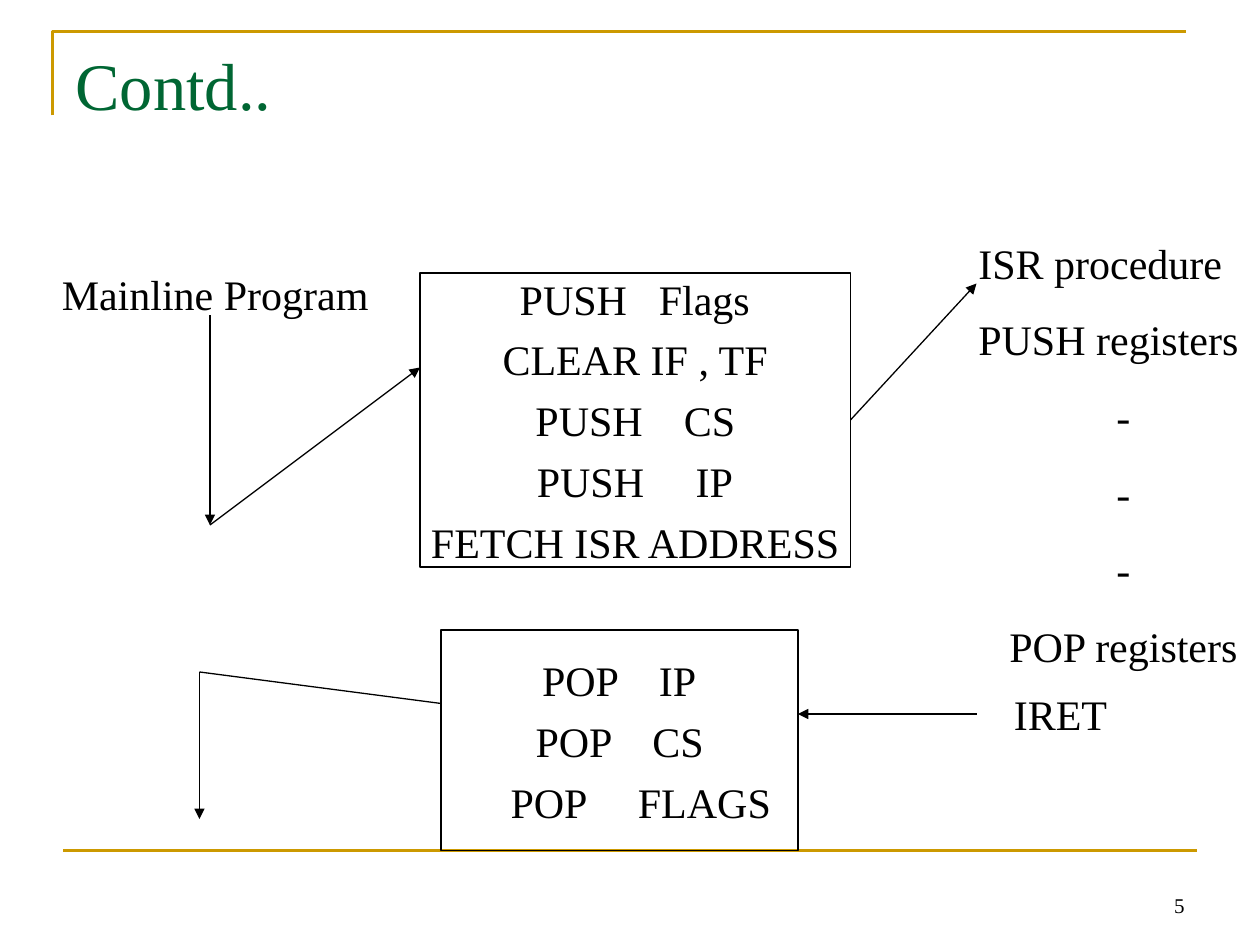
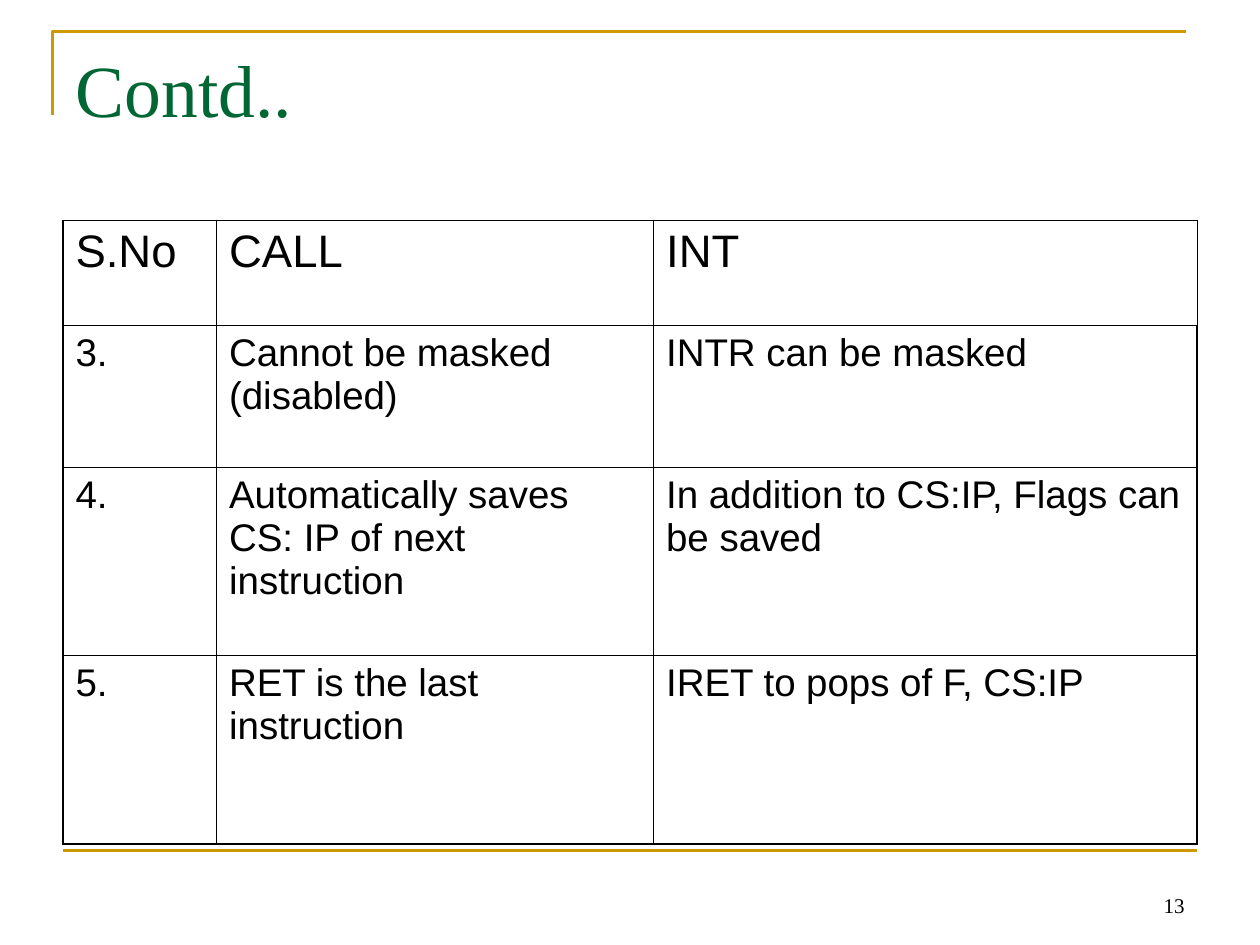
from lxml import etree
from pptx import Presentation
from pptx import util as u
from pptx.dml.color import RGBColor
from pptx.enum import shapes, text
from pptx.oxml import ns

PX = 9525
BLACK, GOLD, GREEN = "000000", "CC9900", "006633"
SERIF, SANS = "Times New Roman", "Arial"
LEFT, CENTER, RIGHT = text.PP_ALIGN.LEFT, text.PP_ALIGN.CENTER, text.PP_ALIGN.RIGHT


def px(*lengths):
    return [u.Emu(n * PX) for n in lengths]


def rgb(value):
    return RGBColor.from_string(value)


def sub(parent, tag, **attrs):
    return etree.SubElement(parent, ns.qn(tag), {k: str(v) for k, v in attrs.items()})


def write(p, words, size=24, font=SERIF, color=BLACK, align=LEFT, before=0, tabs=()):
    p.alignment = align
    p.space_before = u.Pt(before)
    if tabs:
        stops = sub(p._p.get_or_add_pPr(), "a:tabLst")
        for stop in tabs:
            sub(stops, "a:tab", pos=stop * PX, algn="l")
    r = p.add_run()
    r.text = words
    r.font.size, r.font.name = u.Pt(size), font
    r.font.color.rgb = rgb(color)


def write_lines(tf, lines, before):
    for i, (words, fmt) in enumerate(lines):
        p = tf.add_paragraph() if i else tf.paragraphs[0]
        write(p, words, before=before if i else 0, **fmt)


def label(s, box, lines, before=15, anchor=text.MSO_ANCHOR.TOP):
    tf = s.shapes.add_textbox(*px(*box)).text_frame
    tf.word_wrap = True
    tf.vertical_anchor = anchor
    write_lines(tf, lines, before)


def line(s, start, end, color=BLACK, width=0.75, arrow=True):
    cx = s.shapes.add_connector(shapes.MSO_CONNECTOR.STRAIGHT, *px(*start, *end))
    cx.line.color.rgb, cx.line.width = rgb(color), u.Pt(width)
    if arrow:
        sub(cx.line._get_or_add_ln(), "a:tailEnd", type="triangle")
    sub(cx._element.spPr, "a:effectLst")
    return cx


def step_box(s, box, lines):
    sp = s.shapes.add_shape(shapes.MSO_SHAPE.RECTANGLE, *px(*box))
    sp.shadow.inherit = False
    sp.fill.background()
    sp.line.color.rgb, sp.line.width = rgb(BLACK), u.Pt(0.75)
    tf = sp.text_frame
    tf.word_wrap = True
    tf.margin_left = tf.margin_right = 0
    tf.vertical_anchor = text.MSO_ANCHOR.MIDDLE
    write_lines(tf, lines, 6)
    return sp


def columns(first, second, *tabs):
    return f"\t{first}\t{second}", {"tabs": tabs}


def base_slide(prs, number, title_size, title_height):
    s = prs.slides.add_slide(prs.slide_layouts[5])
    corner = s.shapes.build_freeform(40, 88, scale=PX)
    corner.add_line_segments([(40, 24), (904, 24)], close=False)
    sp = corner.convert_to_shape()
    sp.shadow.inherit = False
    sp.fill.background()
    sp.line.color.rgb, sp.line.width = rgb(GOLD), u.Pt(1.5)
    line(s, (48, 648), (912, 648), GOLD, 1.5, arrow=False)
    label(s, (688, 656, 224, 48), [(str(number), {"size": 12, "align": RIGHT})],
          anchor=text.MSO_ANCHOR.BOTTOM)
    title = s.shapes.title
    title.left, title.top, title.width, title.height = px(48, 29, 864, title_height)
    tf = title.text_frame
    tf.word_wrap = True
    tf.auto_size = text.MSO_AUTO_SIZE.NONE
    tf.vertical_anchor = text.MSO_ANCHOR.TOP
    write(tf.paragraphs[0], "Contd..", size=title_size, color=GREEN)
    return s


def interrupt_flow(s, x, y):
    def at(dx, dy):
        return x + dx, y + dy

    centered = {"align": CENTER}
    push_box = step_box(s, (*at(296, 32), 328, 224), [
        columns("PUSH", "Flags", 76, 182),
        ("CLEAR IF , TF", centered),
        columns("PUSH", "CS", 88, 201),
        columns("PUSH", "IP", 89, 210),
        ("FETCH ISR ADDRESS", centered)])
    step_box(s, (*at(312, 304), 272, 168), [
        columns("POP", "IP", 77, 166),
        columns("POP", "CS", 72, 161),
        columns("POP", "FLAGS", 53, 150)])
    label(s, (*at(0, 24), 280, 48), [("Mainline Program", centered)])
    label(s, (*at(712, 0), 240, 340),
          [("ISR procedure", {}), ("PUSH registers", {})]
          + [("-", centered)] * 3 + [("POP registers", centered)])
    label(s, (*at(704, 344), 160, 48), [("IRET", centered)])
    line(s, at(136, 64), at(136, 224))
    line(s, at(136, 224), at(296, 104))
    line(s, at(624, 144), at(720, 40)).begin_connect(push_box, 3)
    line(s, at(720, 368), at(584, 368))
    line(s, at(312, 360), at(128, 336), arrow=False)
    line(s, at(128, 336), at(128, 448))


def borders(cell, thick):
    tc_pr = cell._tc.get_or_add_tcPr()
    for i, side in enumerate("LRTB"):
        width = u.Pt(1.08 if side in thick else 0.45)
        ln = sub(tc_pr, f"a:ln{side}", w=int(width))
        sub(sub(ln, "a:solidFill"), "a:srgbClr", val=BLACK)
        tc_pr.insert(i, ln)


def comparison_table(s, x, y, rows, widths, heights):
    frame = s.shapes.add_table(len(rows), len(widths),
                               *px(x, y, sum(widths), sum(heights)))
    table = frame.table
    table.first_row = table.horz_banding = False
    for col, width in zip(table.columns, px(*widths)):
        col.width = width
    last_row, last_col = len(rows) - 1, len(widths) - 1
    for i, (row, height) in enumerate(zip(rows, px(*heights))):
        table.rows[i].height = height
        for j, words in enumerate(row):
            cell = table.cell(i, j)
            cell.fill.background()
            edges = {"L": j == 0, "R": j == last_col and i > 0,
                     "T": i == 0, "B": i == last_row}
            borders(cell, [side for side, outer in edges.items() if outer])
            write(cell.text_frame.paragraphs[0], words, font=SANS,
                  size=22 if i else 26)


def main():
    prs = Presentation()
    prs.slide_width, prs.slide_height = px(960, 720)
    interrupt_flow(base_slide(prs, 5, 38, 35), 24, 176)
    comparison_table(base_slide(prs, 13, 42, 120), 48, 168, [
        ("S.No", "CALL", "INT"),
        ("3.", "Cannot be masked (disabled)", "INTR can be masked"),
        ("4.", "Automatically saves CS: IP of next instruction",
         "In addition to CS:IP, Flags can be saved"),
        ("5.", "RET is the last instruction", "IRET to pops of F, CS:IP"),
    ], widths=(117, 333, 414), heights=(80, 108, 143, 144))
    prs.save("out.pptx")


if __name__ == "__main__":
    main()
